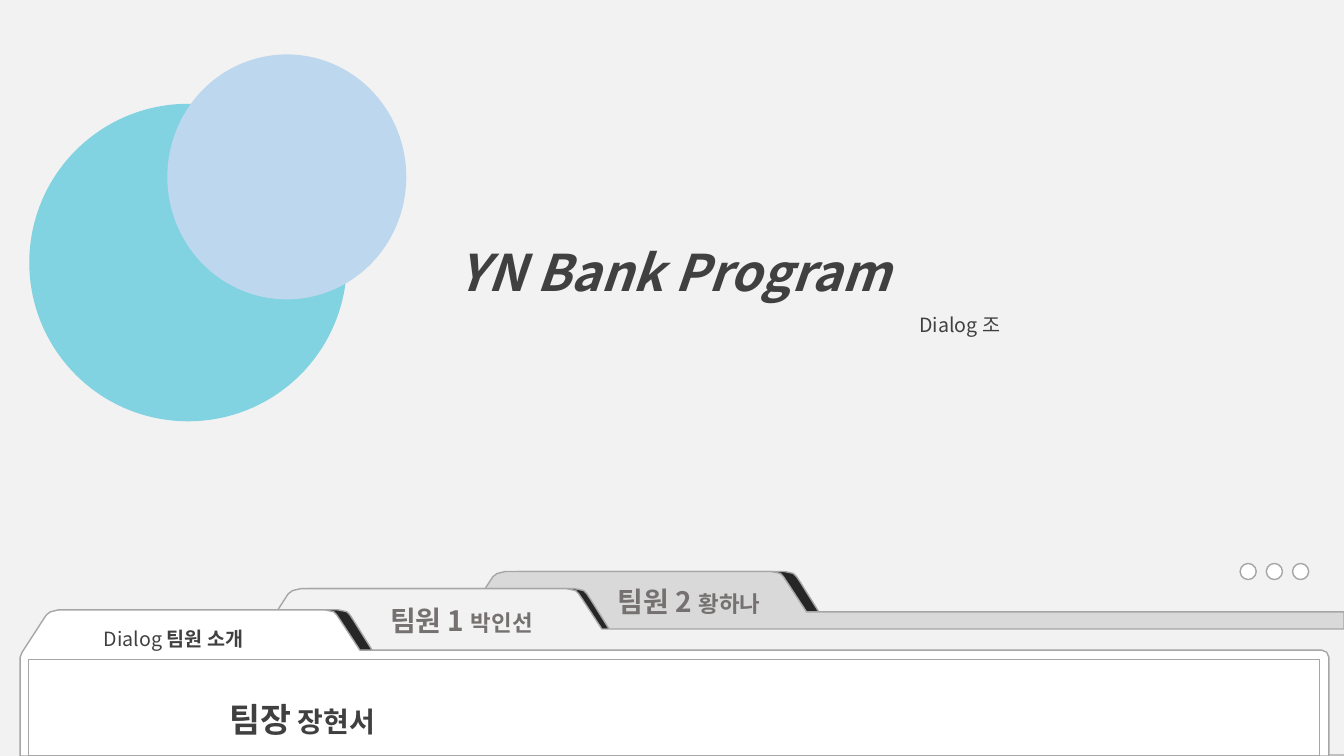
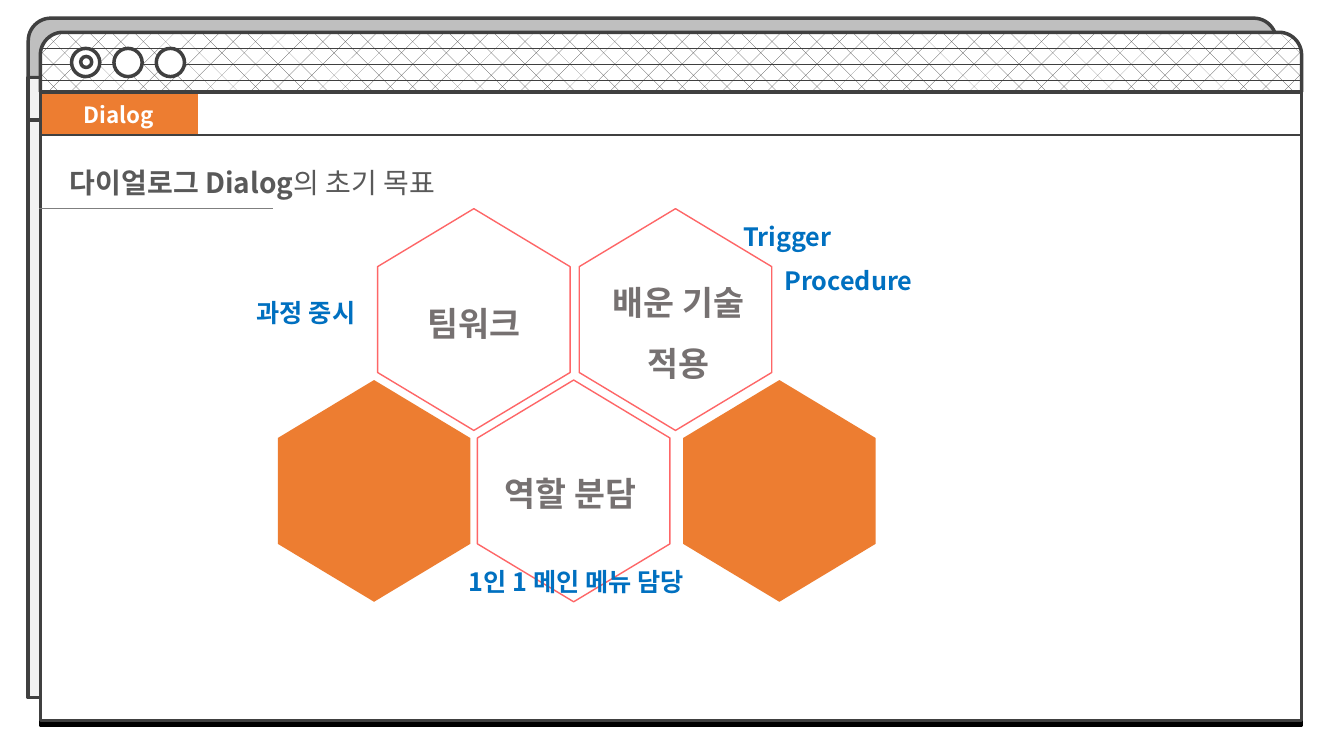
from pptx import Presentation
from pptx.dml.color import RGBColor
from pptx.enum.dml import MSO_PATTERN
from pptx.enum.shapes import MSO_CONNECTOR, MSO_SHAPE
from pptx.enum.text import MSO_ANCHOR, MSO_AUTO_SIZE, PP_ALIGN
from pptx.oxml.ns import qn
from pptx.util import Inches, Pt
from lxml.etree import SubElement

FONT = "Noto Sans CJK KR"
WHITE = RGBColor(0xFF, 0xFF, 0xFF)
BLACK = RGBColor(0x00, 0x00, 0x00)
PALE = RGBColor(0xF2, 0xF2, 0xF2)
LIGHT = RGBColor(0xD9, 0xD9, 0xD9)
SILVER = RGBColor(0xBF, 0xBF, 0xBF)
EDGE = RGBColor(0xA6, 0xA6, 0xA6)
RULE = RGBColor(0x7F, 0x7F, 0x7F)
LABEL = RGBColor(0x76, 0x71, 0x71)
HEADING = RGBColor(0x59, 0x59, 0x59)
DARK = RGBColor(0x40, 0x40, 0x40)
TAB_SHADE = RGBColor(0x26, 0x26, 0x26)
TEAL = RGBColor(0x81, 0xD3, 0xE1)
SKY = RGBColor(0xBD, 0xD7, 0xEE)
ORANGE = RGBColor(0xED, 0x7D, 0x31)
CORAL = RGBColor(0xFE, 0x66, 0x67)
BLUE = RGBColor(0x00, 0x70, 0xC0)

THIN = (EDGE, 1)
FRAME = (DARK, 2.5)

# Rounded top of a folder tab, from its left slope to its right slope
TAB_TOP = [(0.24, 0.08), (0.26, 0.05), (0.3, 0.02), (0.34, 0.01), (0.38, 0),
           (3.02, 0), (3.07, 0.01), (3.11, 0.02), (3.14, 0.05), (3.18, 0.11)]


class Deck:
    def __init__(self):
        self.presentation = Presentation()
        self.presentation.slide_width = Inches(13.33)
        self.presentation.slide_height = Inches(7.5)
        self.slide = None

    def new_slide(self, background):
        title_only = self.presentation.slide_layouts[5]
        self.slide = self.presentation.slides.add_slide(title_only)
        fill = self.slide.background.fill
        fill.solid()
        fill.fore_color.rgb = background

    def paint(self, shape, fill, line):
        """Apply a fill colour and a (colour, points) line; None means none."""
        shape.shadow.inherit = False
        if fill is None:
            shape.fill.background()
        else:
            shape.fill.solid()
            shape.fill.fore_color.rgb = fill
        if line is None:
            shape.line.fill.background()
        else:
            shape.line.color.rgb, shape.line.width = line[0], Pt(line[1])

    def shape(self, kind, box, fill=None, line=None, adjust=()):
        shape = self.slide.shapes.add_shape(kind, *map(Inches, box))
        for index, value in enumerate(adjust):
            shape.adjustments[index] = value
        self.paint(shape, fill, line)
        return shape

    def outline(self, points, fill, line):
        start, *rest = [(Inches(x), Inches(y)) for x, y in points]
        builder = self.slide.shapes.build_freeform(*start)
        builder.add_line_segments(rest, close=True)
        self.paint(builder.convert_to_shape(), fill, line)

    def folder_tab(self, left, top, right, bottom, fill, shade_shift, corner=0):
        """Draw a tab with its folder body, and its dark shade behind it."""
        def moved(points, shift=0):
            return [(left + shift + x, top + y) for x, y in points]

        shade = [(0.01, 0.43), *TAB_TOP, (3.38, 0.43)]
        self.outline(moved(shade, shade_shift), TAB_SHADE, THIN)
        shoulder = top + 0.4
        body = [(right - corner, shoulder),
                (right - 0.3 * corner, shoulder + 0.3 * corner),
                (right, shoulder + corner), (right, bottom), (left, bottom)]
        tab = moved([(0, 0.47), (0.02, 0.42), *TAB_TOP, (3.37, 0.4)])
        self.outline(tab + body, fill, THIN)

    def hexagon(self, center_x, center_y, fill, line=None):
        width, height = 2.2, 1.91
        box = (center_x - width / 2, center_y - height / 2, width, height)
        cell = self.shape(MSO_SHAPE.HEXAGON, box, fill, line, [0.301])
        cell.rotation = 270

    def rule(self, x1, y1, x2, y2, color, points):
        rule = self.slide.shapes.add_connector(
            MSO_CONNECTOR.STRAIGHT, *map(Inches, (x1, y1, x2, y2)))
        rule.line.color.rgb, rule.line.width = color, Pt(points)
        SubElement(rule.element.spPr, qn("a:effectLst"))

    def set_runs(self, paragraph, runs, color, align, spacing=None, italic=None):
        """Fill a paragraph with (text, size, bold) runs; the first sets its font."""
        _, size, bold = runs[0]
        paragraph.alignment, paragraph.line_spacing = align, spacing
        font = paragraph.font
        font.name, font.size, font.bold, font.italic = FONT, Pt(size), bold, italic
        font.color.rgb = color
        SubElement(font._element, qn("a:ea"), typeface=FONT)
        for words, run_size, run_bold in runs:
            run = paragraph.add_run()
            run.text = words
            if run_size != size:
                run.font.size = Pt(run_size)
            if run_bold != bold:
                run.font.bold = run_bold

    def text(self, box, lines, color, align=PP_ALIGN.CENTER, spacing=1.5, wrap=True):
        """Add a text box; each line is a list of (text, size, bold) runs."""
        frame = self.slide.shapes.add_textbox(*map(Inches, box)).text_frame
        frame.word_wrap = wrap
        for index, runs in enumerate(lines):
            paragraph = frame.add_paragraph() if index else frame.paragraphs[0]
            self.set_runs(paragraph, runs, color, align, spacing)

    def title(self, box, runs, color, italic=None):
        """Place the title in front of everything drawn so far."""
        title = self.slide.shapes.title
        title.left, title.top, title.width, title.height = map(Inches, box)
        frame = title.text_frame
        frame.word_wrap = True
        frame.auto_size = MSO_AUTO_SIZE.NONE
        frame.vertical_anchor = MSO_ANCHOR.TOP
        self.set_runs(frame.paragraphs[0], runs, color, PP_ALIGN.CENTER, 1.5, italic)
        title.element.getparent().append(title.element)

    def menu_bar(self, box, columns, label):
        """Add a one-row table with an outer border and an orange first cell."""
        bar = self.slide.shapes.add_table(1, columns, *map(Inches, box)).table
        bar.first_row = bar.horz_banding = False
        for index, cell in enumerate(bar.rows[0].cells):
            sides = {"T", "B"}
            if index == 0:
                sides.add("L")
            if index == columns - 1:
                sides.add("R")
            self.border(cell, sides, DARK, 2.25)
            cell.fill.solid()
            cell.fill.fore_color.rgb = WHITE if index else ORANGE
        first = bar.cell(0, 0)
        first.vertical_anchor = MSO_ANCHOR.MIDDLE
        self.set_runs(first.text_frame.paragraphs[0], [(label, 16, True)],
                      WHITE, PP_ALIGN.CENTER)

    def border(self, cell, sides, color, points):
        properties = cell._tc.get_or_add_tcPr()
        for side in "LRTB":
            edge = SubElement(properties, qn(f"a:ln{side}"), w=str(Pt(points)))
            if side in sides:
                fill = SubElement(edge, qn("a:solidFill"))
                SubElement(fill, qn("a:srgbClr"), val=str(color))
            else:
                SubElement(edge, qn("a:noFill"))

    def hard_shadow(self, shape, color, points):
        """Give a shape an unblurred shadow straight below it."""
        effects = shape.element.spPr.find(qn("a:effectLst"))
        shadow = SubElement(effects, qn("a:outerShdw"), blurRad="0",
                            dist=str(Pt(points)), dir="5400000", algn="t",
                            rotWithShape="0")
        SubElement(shadow, qn("a:srgbClr"), val=str(color))


def cover(deck):
    deck.new_slide(PALE)
    deck.folder_tab(4.63, 5.67, 13.33, 7.12, LIGHT, 0.13)
    deck.folder_tab(2.6, 5.84, 13.38, 7.49, PALE, 0.08)
    deck.folder_tab(0.2, 6.05, 13.18, 7.5, WHITE, 0.13, corner=0.07)
    deck.shape(MSO_SHAPE.RECTANGLE, (0.28, 6.54, 12.81, 0.96), line=THIN)
    deck.text((0.51, 6.05, 2.43, 0.45),
              [[("Dialog ", 14, False), ("팀원 소개", 14, True)]], DARK)
    deck.text((2.18, 6.68, 2.81, 0.71),
              [[("팀장", 24, True), (" 장현서", 20, True)]], DARK, PP_ALIGN.LEFT)
    deck.title((3.35, 2.04, 6.67, 0.9), [("YN Bank Program", 36, True)],
               DARK, italic=True)
    deck.text((3.35, 2.94, 6.67, 0.45), [[("Dialog 조", 14, False)]],
              DARK, PP_ALIGN.RIGHT)
    for index in range(3):
        deck.shape(MSO_SHAPE.OVAL, (12.3 + 0.26 * index, 5.59, 0.16, 0.16),
                   WHITE, THIN)
    for left, top, role, member in [(3.77, 5.94, "팀원 1 ", "박인선"),
                                    (6.03, 5.75, "팀원 2 ", "황하나")]:
        deck.text((left, top, 1.8, 0.44), [[(role, 20, True), (member, 16, True)]],
                  LABEL, PP_ALIGN.LEFT, spacing=None, wrap=False)
    deck.shape(MSO_SHAPE.OVAL, (0.29, 1.03, 3.15, 3.15), TEAL)
    deck.shape(MSO_SHAPE.OVAL, (1.66, 0.54, 2.37, 2.43), SKY)


def browser_window(deck):
    rounded_top = MSO_SHAPE.ROUND_2_SAME_RECTANGLE
    deck.shape(rounded_top, (0.28, 0.18, 12.38, 0.59), SILVER, FRAME, [0.381, 0])
    for top, height in [(1.19, 5.73), (0.77, 0.42)]:
        deck.shape(MSO_SHAPE.RECTANGLE, (0.28, top, 12.38, height), PALE, FRAME)
    header = deck.shape(rounded_top, (0.4, 0.32, 12.51, 0.59), WHITE, FRAME,
                        [0.381, 0])
    header.fill.patterned()
    header.fill.pattern = MSO_PATTERN.DIVOT
    header.fill.fore_color.rgb = DARK
    header.fill.back_color.rgb = WHITE
    page = deck.shape(MSO_SHAPE.RECTANGLE, (0.4, 1.32, 12.51, 5.83), WHITE, FRAME)
    deck.hard_shadow(page, BLACK, 3)
    for index in range(3):
        deck.shape(MSO_SHAPE.OVAL, (0.71 + 0.42 * index, 0.48, 0.28, 0.28),
                   WHITE, FRAME)
    deck.shape(MSO_SHAPE.OVAL, (0.8, 0.56, 0.11, 0.11), WHITE, FRAME)
    deck.menu_bar((0.4, 0.92, 12.51, 0.41), 8, "Dialog")


def goals(deck):
    deck.new_slide(WHITE)
    browser_window(deck)
    upper, lower = 3.17, 4.87
    for center_x, center_y in [(4.7, upper), (6.7, upper), (5.69, lower)]:
        deck.hexagon(center_x, center_y, WHITE, (CORAL, 1))
    for center_x in (3.71, 7.73):
        deck.hexagon(center_x, lower, ORANGE)
    deck.title((0.4, 1.43, 4.21, 0.61),
               [("다이얼로그 Dialog", 20, True), ("의 초기 목표", 20, False)], HEADING)
    deck.rule(0.39, 2.07, 2.71, 2.07, RULE, 0.5)
    for left, top, height, lines in [(3.87, 2.76, 0.63, ["팀워크"]),
                                     (5.9, 2.55, 1.31, ["배운 기술", "적용"]),
                                     (4.83, 4.44, 0.71, ["역할 분담"])]:
        deck.text((left, top, 1.66, height),
                  [[(line, 24, True)] for line in lines], LABEL)
    for left, top, width, note in [(6.98, 2, 1.66, "Trigger"),
                                   (7.43, 2.43, 1.97, "Procedure"),
                                   (3.77, 5.42, 3.89, "1인 1 메인 메뉴 담당"),
                                   (1.97, 2.75, 2.13, "과정 중시")]:
        deck.text((left, top, width, 0.56), [[(note, 18, True)]], BLUE)


def main():
    deck = Deck()
    cover(deck)
    goals(deck)
    deck.presentation.save("out.pptx")


if __name__ == "__main__":
    main()
